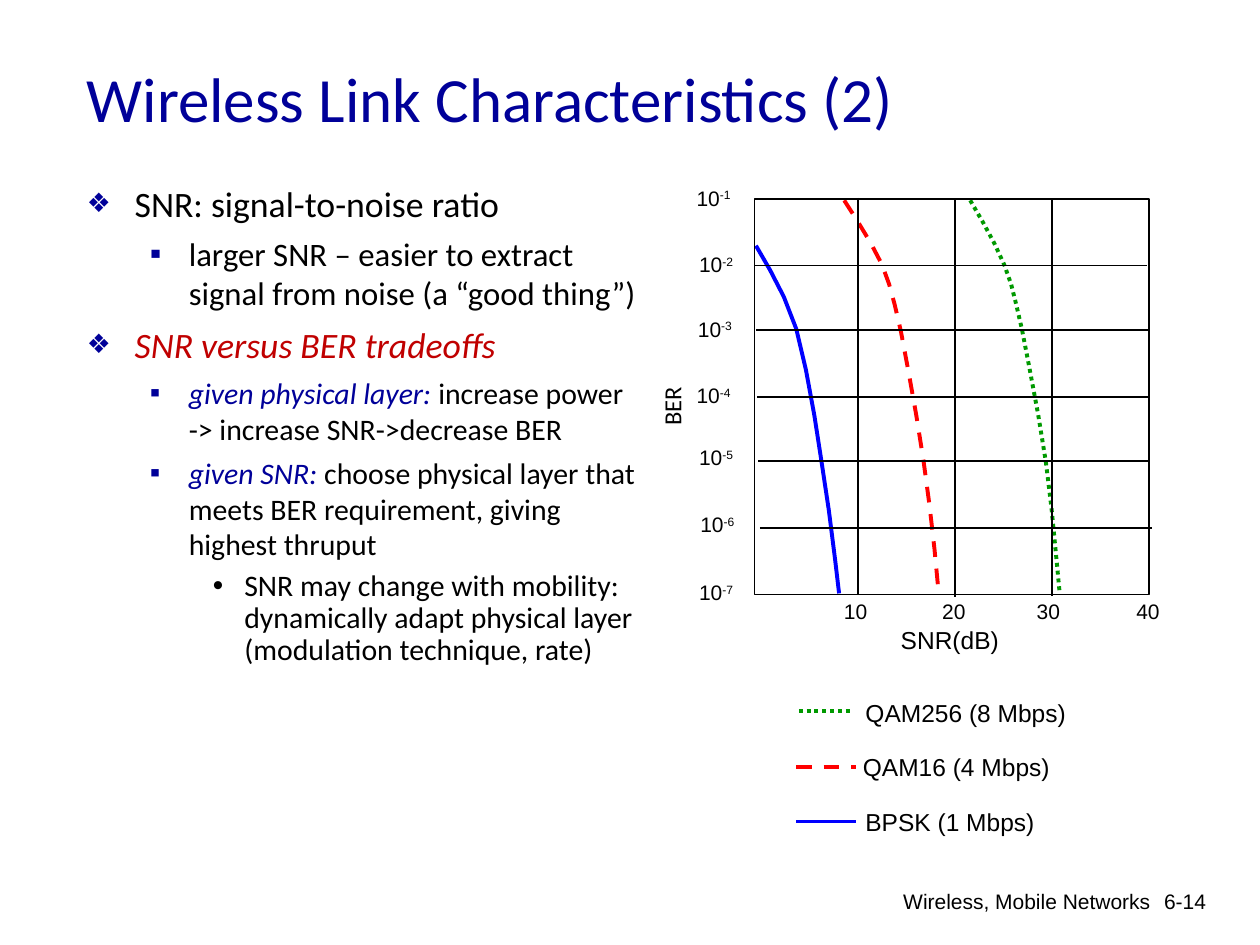
from lxml import etree
from pptx import Presentation
from pptx.dml.color import RGBColor
from pptx.enum.dml import MSO_LINE
from pptx.enum.shapes import MSO_CONNECTOR, MSO_SHAPE
from pptx.enum.text import MSO_ANCHOR, MSO_AUTO_SIZE, PP_ALIGN
from pptx.oxml.ns import qn
from pptx.util import Inches, Pt

BLACK, NAVY, DARK_RED = "000000", "000099", "C00000"
BLUE, RED, GREEN = "0000FF", "FF0000", "009900"
PLOT_X, PLOT_Y, PLOT_W, PLOT_H = 5.99, 1.58, 3.13, 3.14

# Bullet, its size in percent, left margin and first-line indent per level
LEVELS = [
    ("❖", 75, NAVY, 0.38, -0.38),
    ("▪", 100, NAVY, 0.81, -0.31),
    ("•", 100, BLACK, 1.25, -0.25),
]

# Level, size, space before, line spacing, runs of (text, colour, italic)
BODY = [
    (0, 20.4, 6, None, [("SNR: signal-to-noise ratio", BLACK, False)]),
    (1, 18.7, 5.5, None, [
        ("larger SNR – easier to extract signal from noise (a “good thing”)", BLACK, False)]),
    (0, 20.4, 6, None, [("SNR versus BER tradeoffs", DARK_RED, True)]),
    (1, 17, 5, None, [
        ("given physical layer:", NAVY, True),
        (" increase power -> increase SNR->decrease BER", BLACK, False)]),
    (1, 17, 5, None, [
        ("given SNR:", NAVY, True),
        (" choose physical layer that meets BER requirement, giving highest thruput",
         BLACK, False)]),
    (2, 17, 5, 0.9, [
        ("SNR may change with mobility: dynamically adapt physical layer "
         "(modulation technique, rate)", BLACK, False)]),
]

# Colour, dash and cubic Bezier points: a start, then three points a segment
CURVES = [
    (BLUE, None, [(6, 1.95), (6.11, 2.14), (6.23, 2.33), (6.32, 2.61),
                  (6.4, 2.9), (6.47, 3.31), (6.52, 3.66),
                  (6.58, 4.01), (6.64, 4.54), (6.66, 4.71)]),
    (RED, MSO_LINE.DASH, [(6.7, 1.59), (6.81, 1.76), (6.92, 1.93), (7, 2.1),
                          (7.07, 2.27), (7.09, 2.37), (7.15, 2.63),
                          (7.2, 2.89), (7.28, 3.31), (7.33, 3.66),
                          (7.38, 4), (7.42, 4.36), (7.45, 4.71)]),
    (GREEN, MSO_LINE.ROUND_DOT, [(7.7, 1.59), (7.8, 1.76), (7.9, 1.93), (7.97, 2.1),
                                 (8.04, 2.27), (8.05, 2.36), (8.11, 2.61),
                                 (8.16, 2.87), (8.25, 3.31), (8.3, 3.66),
                                 (8.35, 4), (8.39, 4.52), (8.41, 4.7)]),
]


def rgb(color):
    return RGBColor.from_string(color)


def add_run(p, text, size=12, font="Arial", color=BLACK, italic=False, baseline=None):
    r = p.add_run()
    r.text = text
    r.font.size, r.font.name, r.font.italic = Pt(size), font, italic
    r.font.color.rgb = rgb(color)
    if baseline:
        r._r.get_or_add_rPr().set("baseline", str(baseline * 1000))


def add_box(s, x, y, w, h, wrap=True):
    sp = s.shapes.add_textbox(Inches(x), Inches(y), Inches(w), Inches(h))
    sp.text_frame.word_wrap = wrap
    if not wrap:
        sp.text_frame.auto_size = MSO_AUTO_SIZE.SHAPE_TO_FIT_TEXT
    return sp


def add_text(s, text, x, y, w, h, wrap=False, align=None, anchor=None, exponent=None, **fmt):
    sp = add_box(s, x, y, w, h, wrap)
    sp.text_frame.vertical_anchor = anchor
    p = sp.text_frame.paragraphs[0]
    p.alignment = align
    add_run(p, text, **fmt)
    if exponent:
        add_run(p, exponent, baseline=30, **fmt)
    return sp


def add_bullet(p, level):
    char, percent, color, margin, indent = LEVELS[level]
    pPr = p._p.get_or_add_pPr()
    pPr.set("marL", str(Inches(margin)))
    pPr.set("indent", str(Inches(indent)))
    clr = etree.SubElement(pPr, qn("a:buClr"))
    etree.SubElement(clr, qn("a:srgbClr"), val=color)
    etree.SubElement(pPr, qn("a:buSzPct"), val=str(percent * 1000))
    etree.SubElement(pPr, qn("a:buFont"), typeface="Arial")
    etree.SubElement(pPr, qn("a:buChar"), char=char)


def add_body(s):
    tf = add_box(s, 0.59, 1.39, 4.68, 5.68).text_frame
    for i, (level, size, before, spacing, runs) in enumerate(BODY):
        p = tf.add_paragraph() if i else tf.paragraphs[0]
        p.level, p.space_before, p.line_spacing = level, Pt(before), spacing
        add_bullet(p, level)
        for text, color, italic in runs:
            add_run(p, text, size, "Calibri", color, italic)


def style_line(line, color, width, dash=None):
    line.color.rgb = rgb(color)
    line.width = Pt(width)
    if dash:
        line.dash_style = dash


def add_line(s, x1, y1, x2, y2, color=BLACK, width=0.75, dash=None):
    c = s.shapes.add_connector(MSO_CONNECTOR.STRAIGHT, *map(Inches, (x1, y1, x2, y2)))
    style_line(c.line, color, width, dash)
    etree.SubElement(c._element.spPr, qn("a:effectLst"))
    return c


def bezier_points(points, steps=3):
    """Sample a chain of cubic Bezier segments, leaving out the start."""
    for i in range(0, len(points) - 1, 3):
        for n in range(1, steps + 1):
            t = n / steps
            weights = ((1 - t) ** 3, 3 * t * (1 - t) ** 2, 3 * t * t * (1 - t), t ** 3)
            yield tuple(sum(w * pt[axis] for w, pt in zip(weights, points[i:i + 4]))
                        for axis in (0, 1))


def add_curve(s, color, dash, points):
    builder = s.shapes.build_freeform(*map(Inches, points[0]))
    builder.add_line_segments([(Inches(x), Inches(y)) for x, y in bezier_points(points)],
                              close=False)
    sp = builder.convert_to_shape()
    sp.shadow.inherit = False
    sp.fill.background()
    style_line(sp.line, color, 2.25, dash)


def add_grid(s):
    frame = s.shapes.add_shape(MSO_SHAPE.RECTANGLE,
                               *map(Inches, (PLOT_X, PLOT_Y, PLOT_W, PLOT_H)))
    frame.shadow.inherit = False
    frame.fill.background()
    style_line(frame.line, BLACK, 0.75)
    rows = []
    for i, y in enumerate((2.11, 2.62, 3.15, 3.66, 4.19)):
        x = PLOT_X + 0.01 * i
        rows.append(add_line(s, x, y, x + 3.11, y))
    rows[2].end_connect(frame, 3)
    for x, y in ((6.81, 1.57), (7.58, 1.59), (8.35, 1.58)):
        add_line(s, x, y, x, y + 3.15)


def add_axis_labels(s):
    for text, x in (("10", 6.6), ("20", 7.38), ("30", 8.13), ("40", 8.92)):
        add_text(s, text, x, 4.7, 0.4, 0.3)
    places = ((5.43, 1.42), (5.45, 1.95), (5.44, 2.46), (5.43, 2.99),
              (5.45, 3.48), (5.46, 4.01), (5.45, 4.55))
    for n, (x, y) in enumerate(places, 1):
        add_text(s, "10", x, y, 0.48, 0.3, exponent=f"-{n}")
    add_text(s, "SNR(dB)", 7.05, 4.91, 0.99, 0.34, size=14)
    ber = add_text(s, "BER", 5.06, 3.03, 0.55, 0.34, size=14, font="Calibri")
    ber.rotation = 270


def add_legend(s):
    entries = (
        ("QAM256 (8 Mbps)", 6.77, 5.49, 1.81, 6.34, 6.77, 5.64, GREEN, MSO_LINE.ROUND_DOT),
        ("QAM16 (4 Mbps)", 6.75, 5.92, 1.7, 6.32, 6.79, 6.09, RED, MSO_LINE.DASH),
        ("BPSK (1 Mbps)", 6.77, 6.36, 1.56, 6.32, 6.79, 6.52, BLUE, None),
    )
    for text, x, y, w, x1, x2, line_y, color, dash in entries:
        add_line(s, x1, line_y, x2, line_y, color, 2.25, dash)
        add_text(s, text, x, y, w, 0.34, size=14)


def main():
    prs = Presentation()
    prs.slide_width, prs.slide_height = Inches(10), Inches(7.5)
    s = prs.slides.add_slide(prs.slide_layouts[6])
    add_text(s, "Wireless, Mobile Networks", 5.01, 7, 4.22, 0.35,
             wrap=True, align=PP_ALIGN.RIGHT)
    add_text(s, "6-14", 8.93, 7, 0.74, 0.5, wrap=True, align=PP_ALIGN.RIGHT)
    add_text(s, "Wireless Link Characteristics (2)", 0.59, 0.15, 8.5, 1.25, wrap=True,
             anchor=MSO_ANCHOR.MIDDLE, size=36, font="Calibri", color=NAVY)
    add_body(s)
    for curve in CURVES:
        add_curve(s, *curve)
    add_grid(s)
    add_axis_labels(s)
    add_legend(s)
    prs.save("out.pptx")


if __name__ == "__main__":
    main()
